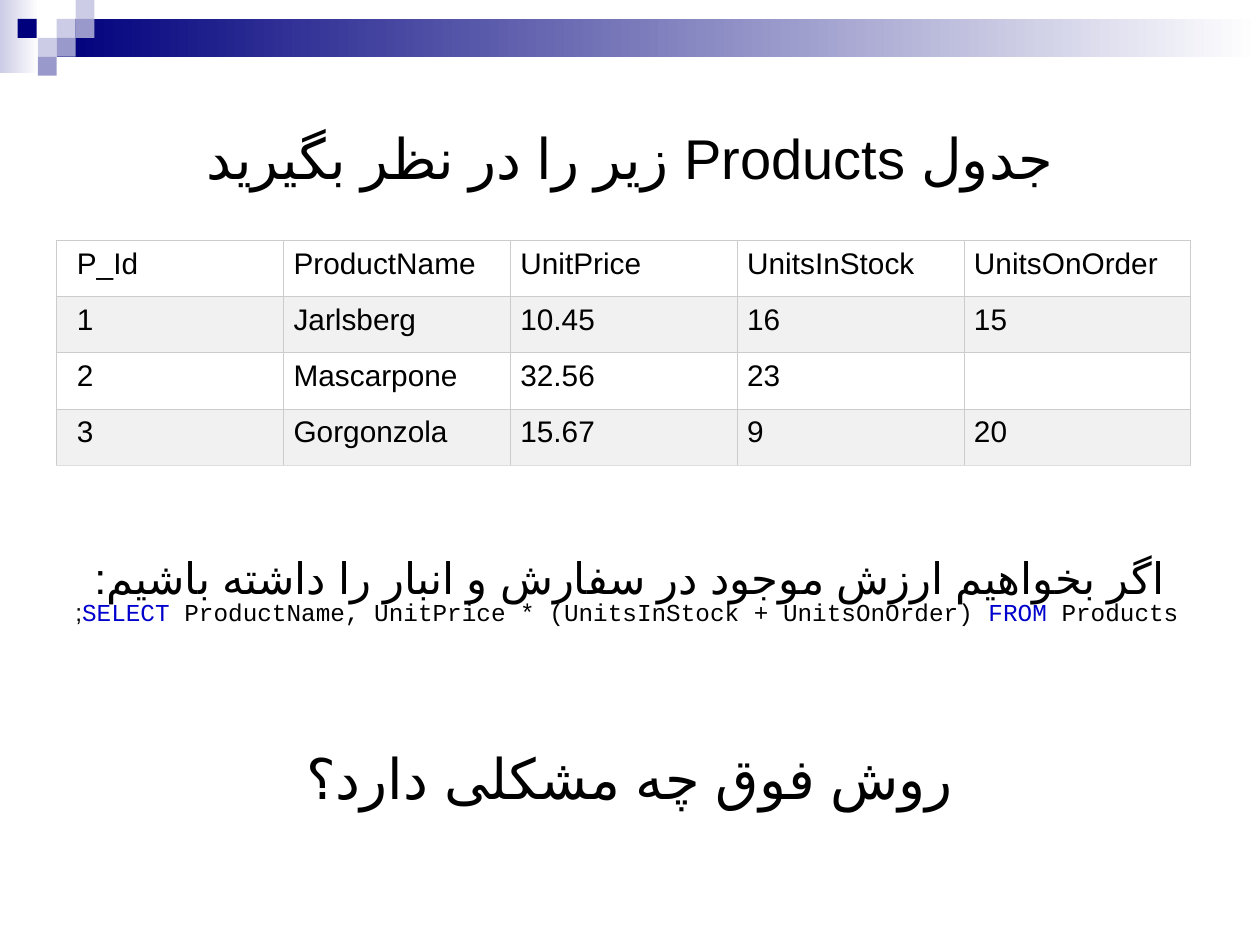
from lxml import etree
from pptx import Presentation
from pptx import util as u
from pptx.dml.color import RGBColor
from pptx.enum import lang, shapes, text
from pptx.oxml import ns

NAVY = RGBColor(0x00, 0x00, 0x7D)
LAVENDER = RGBColor(0xCC, 0xCC, 0xE6)
VIOLET = RGBColor(0x99, 0x99, 0xCC)
WHITE = RGBColor(0xFF, 0xFF, 0xFF)
BLACK = RGBColor(0x00, 0x00, 0x00)
KEYWORD_BLUE = RGBColor(0x00, 0x00, 0xCD)
BAND_GRAY = RGBColor(0xF1, 0xF1, 0xF1)
GRID_GRAY = RGBColor(0xCC, 0xCC, 0xCC)
BOTTOM_GRAY = RGBColor(0xDD, 0xDD, 0xDD)

BODY_FONT = "Arial"
CODE_FONT = "Courier New"

SQUARE = 0.15
SQUARES = [
    (0.45, 0.15, LAVENDER), (0.6, 0, LAVENDER), (0.6, 0.15, VIOLET),
    (0.3, 0.3, LAVENDER), (0.14, 0.15, NAVY), (0.45, 0.3, VIOLET),
    (0.3, 0.45, VIOLET),
]
PRODUCTS = [
    ["P_Id", "ProductName", "UnitPrice", "UnitsInStock", "UnitsOnOrder"],
    ["1", "Jarlsberg", "10.45", "16", "15"],
    ["2", "Mascarpone", "32.56", "23", ""],
    ["3", "Gorgonzola", "15.67", "9", "20"],
]
QUERY = [
    ("SELECT", KEYWORD_BLUE, CODE_FONT),
    (" ProductName, UnitPrice * (UnitsInStock + UnitsOnOrder) ", BLACK, CODE_FONT),
    ("FROM", KEYWORD_BLUE, CODE_FONT),
    (" Products", BLACK, CODE_FONT),
    (";", BLACK, BODY_FONT),
]


class SlideBuilder:
    border_width = u.Pt(0.34)

    def __init__(self, slide):
        self.slide = slide

    def format_run(self, run, size, color=BLACK, font=BODY_FONT):
        """Set the font for both Latin and right-to-left script."""
        run.font.size = u.Pt(size)
        run.font.color.rgb = color
        run.font.name = font
        complex_script = etree.SubElement(run.font._element, ns.qn("a:cs"))
        complex_script.set("typeface", font)

    def rectangle(self, left, top, width, height, color, end_color=None):
        """Draw a borderless block, fading to end_color if one is given."""
        shape = self.slide.shapes.add_shape(
            shapes.MSO_SHAPE.RECTANGLE, u.Inches(left), u.Inches(top),
            u.Inches(width), u.Inches(height))
        shape.shadow.inherit = False
        shape.line.fill.background()
        if end_color is None:
            shape.fill.solid()
            shape.fill.fore_color.rgb = color
            return
        shape.fill.gradient()
        shape.fill.gradient_angle = 0
        for stop, stop_color in zip(shape.fill.gradient_stops, (color, end_color)):
            stop.color.rgb = stop_color

    def right_to_left(self, paragraph, alignment):
        paragraph.alignment = alignment
        paragraph._p.get_or_add_pPr().set("rtl", "1")

    def heading(self, paragraph, words, size):
        paragraph.text = words
        self.right_to_left(paragraph, text.PP_ALIGN.CENTER)
        run = paragraph.runs[0]
        self.format_run(run, size)
        run.font.language_id = lang.MSO_LANGUAGE_ID.FARSI

    def title(self, words):
        shape = self.slide.shapes.title
        shape.left, shape.top = u.Inches(0.5), u.Inches(0.5)
        shape.width, shape.height = u.Inches(9), u.Inches(1.5)
        shape.text_frame.vertical_anchor = text.MSO_ANCHOR.MIDDLE
        self.heading(shape.text_frame.paragraphs[0], words, 32)

    def text_box(self, top, words, size):
        frame = self.slide.shapes.add_textbox(
            u.Inches(0.5), u.Inches(top), u.Inches(9), u.Inches(1.5)).text_frame
        frame.word_wrap = True
        frame.vertical_anchor = text.MSO_ANCHOR.MIDDLE
        self.heading(frame.paragraphs[0], words, size)
        return frame

    def code_line(self, frame, parts):
        paragraph = frame.add_paragraph()
        self.right_to_left(paragraph, text.PP_ALIGN.LEFT)
        paragraph.line_spacing = 0.8
        for words, color, font in parts:
            run = paragraph.add_run()
            run.text = words
            self.format_run(run, 13.9, color, font)

    def cell_borders(self, cell, bottom_color):
        properties = cell._tc.get_or_add_tcPr()
        for index, side in enumerate("LRTB"):
            line = etree.Element(ns.qn(f"a:ln{side}"), w=str(self.border_width))
            fill = etree.SubElement(line, ns.qn("a:solidFill"))
            color = bottom_color if side == "B" else GRID_GRAY
            etree.SubElement(fill, ns.qn("a:srgbClr"), val=str(color))
            properties.insert(index, line)

    def table(self, rows):
        table = self.slide.shapes.add_table(
            len(rows), len(rows[0]), u.Inches(0.45), u.Inches(1.91),
            u.Inches(9), u.Inches(1.78)).table
        for row_index, row in enumerate(rows):
            last_row = row_index == len(rows) - 1
            for column_index, words in enumerate(row):
                cell = table.cell(row_index, column_index)
                cell.fill.solid()
                cell.fill.fore_color.rgb = BAND_GRAY if row_index % 2 else WHITE
                cell.margin_left = u.Inches(0.08 if column_index else 0.16)
                cell.margin_right = u.Inches(0.08)
                cell.margin_top = cell.margin_bottom = u.Inches(0.05)
                self.cell_borders(cell, BOTTOM_GRAY if last_row else GRID_GRAY)
                if words:
                    cell.text_frame.text = words
                    self.format_run(cell.text_frame.paragraphs[0].runs[0], 17)


def main():
    presentation = Presentation()
    presentation.slide_width, presentation.slide_height = u.Inches(10), u.Inches(7.5)
    title_only = presentation.slide_layouts[5]
    builder = SlideBuilder(presentation.slides.add_slide(title_only))

    builder.rectangle(0, 0, 0.31, 0.58, LAVENDER, WHITE)
    builder.rectangle(0.45, 0.15, 9.55, 0.3, NAVY, WHITE)
    for left, top, color in SQUARES:
        builder.rectangle(left, top, SQUARE, SQUARE, color)

    builder.table(PRODUCTS)
    builder.title("جدول Products زیر را در نظر بگیرید")
    question = builder.text_box(
        3.92, "اگر بخواهیم ارزش موجود در سفارش و انبار را داشته باشیم:", 24.8)
    builder.code_line(question, QUERY)
    builder.text_box(5.42, "روش فوق چه مشکلی دارد؟", 32)

    presentation.save("out.pptx")


if __name__ == "__main__":
    main()
